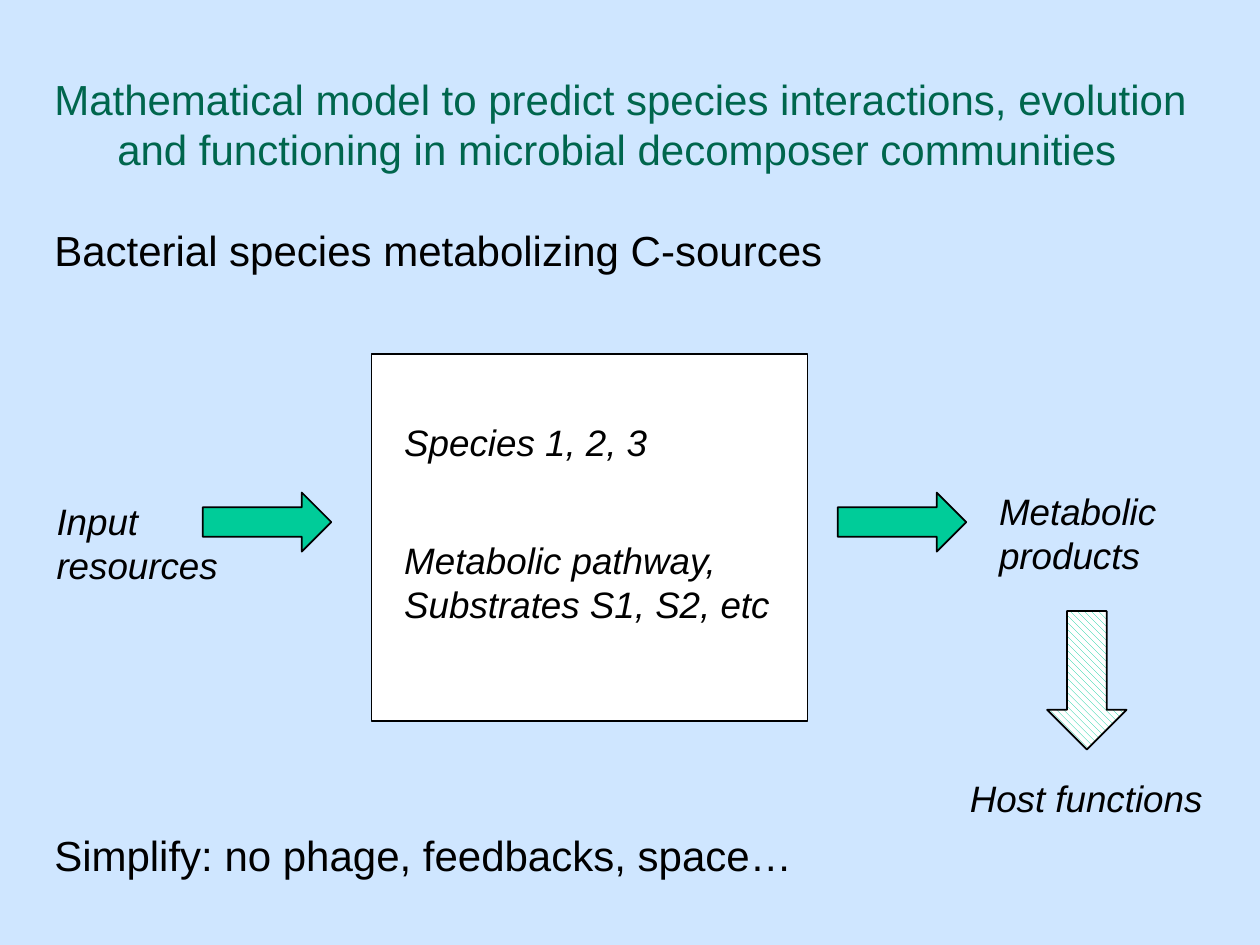
import pptx
import pptx.dml.color
import pptx.enum.dml
import pptx.enum.shapes
import pptx.enum.text
import pptx.oxml.ns
import pptx.util
from lxml import etree
from pptx.util import Cm

RGBColor = pptx.dml.color.RGBColor
MSO_SHAPE = pptx.enum.shapes.MSO_SHAPE

SKY = RGBColor(0xCF, 0xE6, 0xFF)
DARK_GREEN = RGBColor(0x00, 0x66, 0x4D)
GREEN = RGBColor(0x00, 0xCC, 0x99)
BLACK = RGBColor(0x00, 0x00, 0x00)
WHITE = RGBColor(0xFF, 0xFF, 0xFF)

# Content; every frame is left, top, width, height in cm
HEADING = ["Mathematical model to predict species interactions, evolution "
           "and functioning in microbial decomposer communities"]
STATEMENTS = ["Bacterial species metabolizing C-sources",
              "Simplify: no phage, feedbacks, space…"]
HEADING_FRAME = (0.71, 1.35, 24.16, 2.29)
STATEMENTS_FRAME = (0.71, 4.39, 24.16, 14.66)
STATEMENT_GAP = 317  # points between the two statements

COMMUNITY_FRAME = (7.49, 7.14, 8.79, 7.39)
FLOW_ARROWS = [(4.09, 9.93, 2.59, 1.19), (16.89, 9.93, 2.59, 1.19)]
HOST_ARROW = (21.11, 12.32, 1.6, 2.79)

LABELS = [  # lines, frame, wraps
    (["Input resources"], (0.89, 9.93, 4.6, 2.06), True),
    (["Species 1, 2, 3"], (7.9, 8.33, 5.64, 1.14), False),
    (["Metabolic pathway,", "Substrates S1, S2, etc"],
     (7.9, 10.72, 8.13, 2.06), False),
    (["Metabolic", "products"], (19.89, 9.73, 3.89, 2.06), False),
    (["Host functions"], (19.3, 15.52, 5.44, 1.14), False),
]


def place(part, frame):
    part.left, part.top, part.width, part.height = map(Cm, frame)


def write(text_frame, lines, *, size, color=BLACK, italic=False, wrap=True,
          hanging=False, gap=0):
    text_frame.word_wrap = wrap
    text_frame.auto_size = pptx.enum.text.MSO_AUTO_SIZE.NONE
    text_frame.vertical_anchor = pptx.enum.text.MSO_ANCHOR.TOP
    for number, line in enumerate(lines):
        paragraph = text_frame.add_paragraph() if number else text_frame.paragraphs[0]
        properties = paragraph._p.get_or_add_pPr()
        if hanging:
            properties.set("marL", str(Cm(1.4)))
            properties.set("indent", str(Cm(-1.27)))
            etree.SubElement(properties, pptx.oxml.ns.qn("a:buNone"))
        paragraph.alignment = pptx.enum.text.PP_ALIGN.LEFT
        paragraph.space_before = pptx.util.Pt(gap if number else 0)
        run = paragraph.add_run()
        run.text = line
        run.font.name = "Arial"
        run.font.size = pptx.util.Pt(size)
        run.font.italic = italic
        run.font.color.rgb = color


def add_outlined(slide, kind, frame, fill):
    shape = slide.shapes.add_shape(kind, *map(Cm, frame))
    shape.shadow.inherit = False
    shape.fill.solid()
    shape.fill.fore_color.rgb = fill
    shape.line.color.rgb = BLACK
    shape.line.width = pptx.util.Pt(1)
    return shape


def main():
    deck = pptx.Presentation()
    deck.slide_width, deck.slide_height = Cm(25.4), Cm(19.05)
    slide = deck.slides.add_slide(deck.slide_layouts[1])
    slide.background.fill.solid()
    slide.background.fill.fore_color.rgb = SKY

    # Heading and statements
    heading, statements = slide.shapes.title, slide.placeholders[1]
    place(heading, HEADING_FRAME)
    write(heading.text_frame, HEADING, size=24, color=DARK_GREEN, hanging=True)
    place(statements, STATEMENTS_FRAME)
    write(statements.text_frame, STATEMENTS, size=24, hanging=True,
          gap=STATEMENT_GAP)

    # Community box with flow in and out
    add_outlined(slide, MSO_SHAPE.RECTANGLE, COMMUNITY_FRAME, WHITE)
    for frame in FLOW_ARROWS:
        add_outlined(slide, MSO_SHAPE.RIGHT_ARROW, frame, GREEN)

    # Hatched arrow to the host
    host_arrow = add_outlined(slide, MSO_SHAPE.DOWN_ARROW, HOST_ARROW, WHITE)
    host_arrow.fill.patterned()
    host_arrow.fill.pattern = pptx.enum.dml.MSO_PATTERN.WIDE_DOWNWARD_DIAGONAL
    host_arrow.fill.fore_color.rgb = GREEN
    host_arrow.fill.back_color.rgb = WHITE

    # Labels
    for lines, frame, wraps in LABELS:
        label = slide.shapes.add_textbox(*map(Cm, frame))
        write(label.text_frame, lines, size=21, italic=True, wrap=wraps)

    deck.save("out.pptx")


if __name__ == "__main__":
    main()
